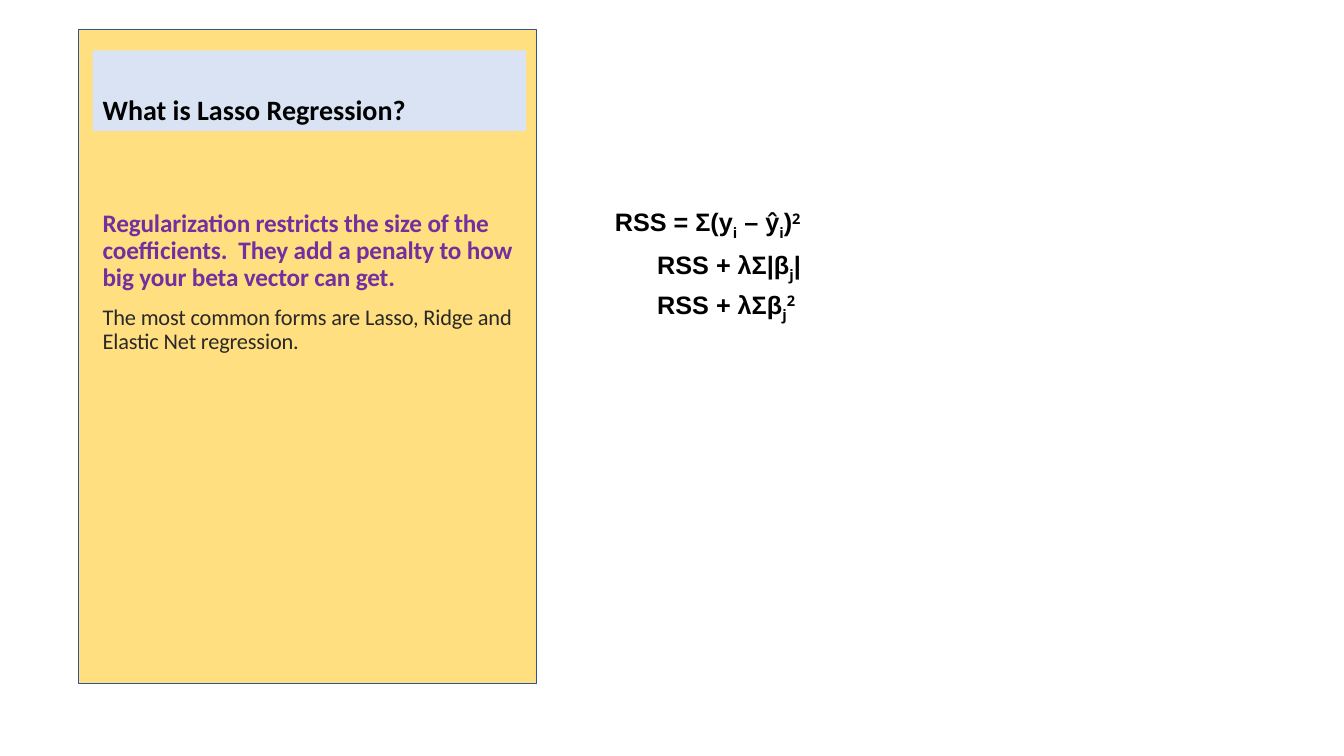
from lxml.etree import SubElement
from pptx import Presentation
from pptx.dml.color import RGBColor
from pptx.enum.shapes import MSO_SHAPE as Shape
from pptx.enum.text import MSO_ANCHOR as Anchor, MSO_AUTO_SIZE as Fit, PP_ALIGN as Align
from pptx.oxml.ns import qn
from pptx.util import Inches, Pt

SUB, SUP = -25, 30
FORMULAS = [
    (6, 2, 5.67, True,
     [("RSS = Σ(y", 0), ("i", SUB), (" – ŷ", 0), ("i", SUB), (")", 0), ("2", SUP)]),
    (6.42, 2.42, 2.42, True, [("RSS + λΣ|β", 0), ("j", SUB), ("|", 0)]),
    (6.42, 2.82, 1.58, False, [("RSS + λΣβ", 0), ("j", SUB), ("2", SUP)]),
]
BODY = [
    ("Regularization restricts the size of the coefficients.  "
     "They add a penalty to how big your beta vector can get.", 18, "7030A0", True),
    ("The most common forms are Lasso, Ridge and Elastic Net regression.",
     16, "292929", False),
]


def color(code):
    return RGBColor.from_string(code)


def style(font, size, code, bold, name=None):
    font.size, font.bold = Pt(size), bold
    font.color.rgb = color(code)
    if name:
        font.name = name


def add_rect(slide, box, fill, line=None, alpha=None):
    rect = slide.shapes.add_shape(Shape.RECTANGLE, *map(Inches, box))
    rect.shadow.inherit = False
    rect.fill.solid()
    rect.fill.fore_color.rgb = color(fill)
    if alpha:
        tone = rect.fill._xPr.find(".//" + qn("a:srgbClr"))
        SubElement(tone, qn("a:alpha"), val=str(alpha * 1000))
    if line:
        rect.line.color.rgb = color(line)
        rect.line.width = Pt(0.75)
    else:
        rect.line.fill.background()
    return rect


def add_title(slide, box, text):
    frame = add_rect(slide, box, "DAE3F3").text_frame
    frame.word_wrap = True
    frame.vertical_anchor = Anchor.BOTTOM
    para = frame.paragraphs[0]
    para.text = text
    para.alignment = Align.LEFT
    para.line_spacing = 0.9
    style(para.font, 20, "000000", True, "Calibri")


def add_body(slide, box, items):
    frame = slide.shapes.add_textbox(*map(Inches, box)).text_frame
    frame.word_wrap = True
    frame.margin_top = Inches(0.46)
    for i, (text, size, code, bold) in enumerate(items):
        para = frame.add_paragraph() if i else frame.paragraphs[0]
        para.line_spacing = 0.9
        para.space_before = Pt(10 if i else 0)
        style(para.font, size, code, bold, "Calibri")
        run = para.add_run()
        run.text = text
        run._r.get_or_add_rPr().set("spc", "-10")


def add_formula(slide, left, top, width, wrap, parts):
    """Write one formula; each part is its text and its baseline shift in percent."""
    box = slide.shapes.add_textbox(*map(Inches, (left, top, width, 0.4)))
    frame = box.text_frame
    frame.word_wrap = wrap
    frame.auto_size = Fit.SHAPE_TO_FIT_TEXT
    para = frame.paragraphs[0]
    style(para.font, 18, "000000", True)
    for text, shift in parts:
        run = para.add_run()
        run.text = text
        run.font.name = "Open Sans" if shift else "Arial"
        if shift:
            run._r.get_or_add_rPr().set("baseline", str(shift * 1000))


def main():
    deck = Presentation()
    deck.slide_width, deck.slide_height = Inches(13.33), Inches(7.5)
    slide = deck.slides.add_slide(deck.slide_layouts[6])
    add_rect(slide, (0.78, 0.29, 4.54, 6.49), "FFC000", "2F5597", 50)
    add_body(slide, (0.92, 1.63, 4.3, 4.78), BODY)
    add_title(slide, (0.92, 0.5, 4.3, 0.8), "What is Lasso Regression?")
    for formula in FORMULAS:
        add_formula(slide, *formula)
    deck.save("out.pptx")


if __name__ == "__main__":
    main()
